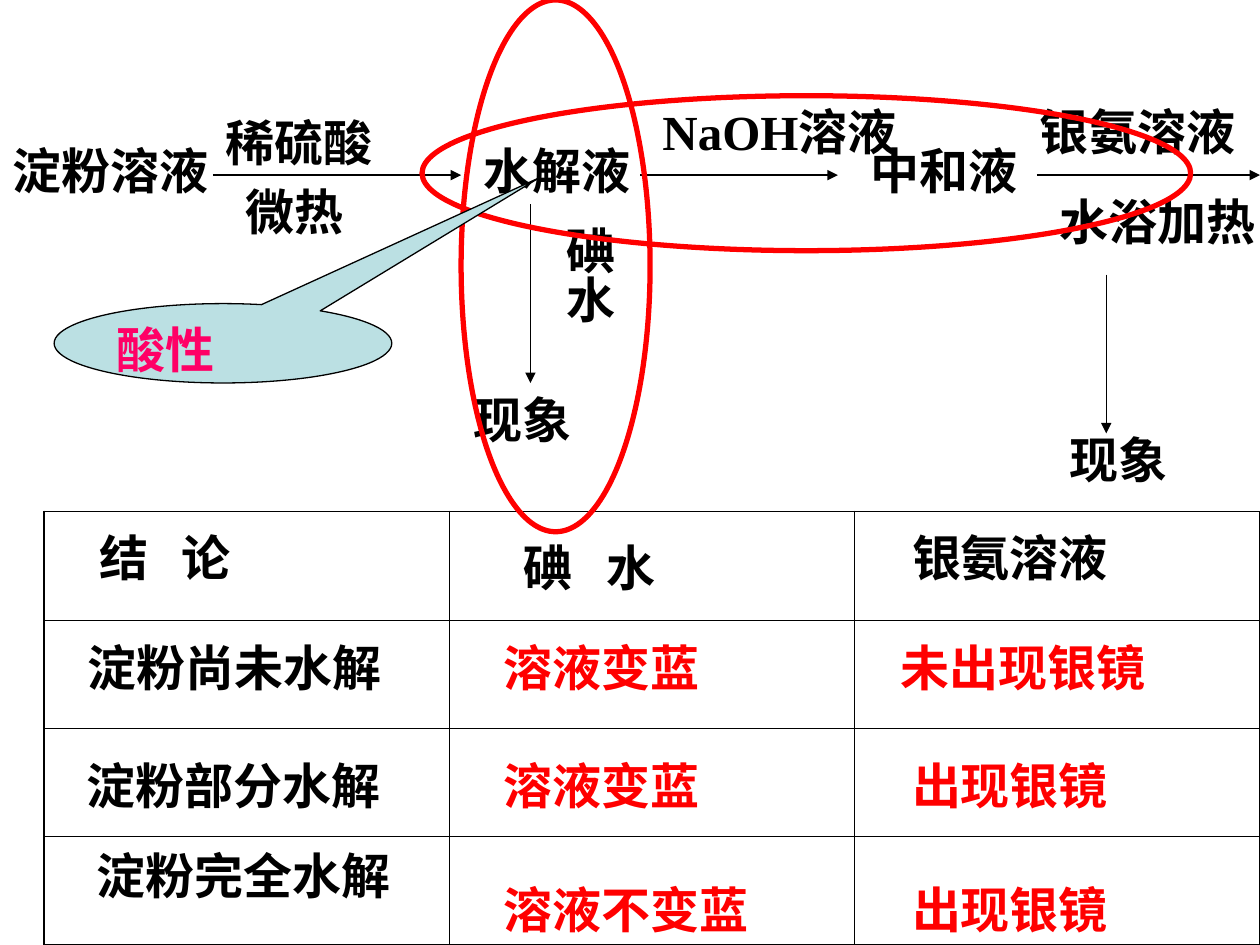
from lxml.etree import SubElement
from pptx import Presentation
from pptx.dml.color import RGBColor
from pptx.enum.shapes import MSO_CONNECTOR, MSO_SHAPE
from pptx.enum.text import MSO_AUTO_SIZE
from pptx.oxml.ns import qn
from pptx.util import Inches, Pt

BLACK = RGBColor(0x00, 0x00, 0x00)
RED = RGBColor(0xFF, 0x00, 0x00)
PINK = RGBColor(0xFF, 0x00, 0x66)
PALE_BLUE = RGBColor(0xBB, 0xE0, 0xE3)
CJK_FONT = "Noto Sans CJK SC"
LATIN_FONT = "Times New Roman"
OUTER_BORDER, INNER_BORDER = Pt(1.08), Pt(0.45)

# Reaction scheme: text, left, top, width
STEPS = [
    ("淀粉溶液", 0, 1.07, 2.83),
    ("稀硫酸", 1.69, 0.84, 2.21),
    ("微热", 1.85, 1.39, 1.97),
    ("水解液", 3.74, 1.07, 2.44),
    ("现象", 3.66, 3.04, 2.44),
    ("中和液", 6.81, 1.07, 2.6),
    ("银氨溶液", 8.15, 0.76, 2.36),
    ("水浴加热", 8.31, 1.47, 4.1),
    ("现象", 8.39, 3.36, 4.25),
]

# Arrows: start x, start y, end x, end y
ARROWS = [
    (1.69, 1.39, 3.66, 1.39),
    (5.08, 1.39, 6.65, 1.39),
    (8.23, 1.39, 10, 1.39),
    (4.21, 1.62, 4.21, 3.04),
    (8.78, 2.18, 8.78, 3.44),
]

# Labels over the table, row by row: text, left, top, width, colour
TABLE_LABELS = [
    ("结   论", 0.69, 4.14, 2.18, BLACK),
    ("碘   水", 4.06, 4.22, 2.76, BLACK),
    ("银氨溶液", 7.14, 4.14, 2.86, BLACK),
    ("淀粉尚未水解", 0.6, 5.01, 2.9, BLACK),
    ("溶液变蓝", 3.9, 5.01, 2.44, RED),
    ("未出现银镜", 7.05, 5.01, 2.95, RED),
    ("淀粉部分水解", 0.59, 5.95, 2.99, BLACK),
    ("溶液变蓝", 3.9, 5.95, 2.44, RED),
    ("出现银镜", 7.14, 5.95, 2.86, RED),
    ("淀粉完全水解", 0.67, 6.66, 2.99, BLACK),
    ("溶液不变蓝", 3.9, 6.93, 2.44, RED),
    ("出现银镜", 7.14, 6.93, 2.86, RED),
]


def format_run(run, color, font_name=CJK_FONT):
    run.font.size = Pt(28)
    run.font.bold = True
    run.font.color.rgb = color
    run.font.name = font_name
    SubElement(run.font._element, qn("a:ea")).set("typeface", CJK_FONT)


def add_label(shapes, text, left, top, width, color=BLACK, height=0.57):
    label = shapes.add_textbox(Inches(left), Inches(top), Inches(width), Inches(height))
    frame = label.text_frame
    frame.word_wrap = True
    frame.auto_size = MSO_AUTO_SIZE.SHAPE_TO_FIT_TEXT
    frame.text = text
    format_run(frame.paragraphs[0].runs[0], color)
    return label


def add_vertical_label(shapes, text, left, top, width, height):
    frame = add_label(shapes, text, left, top, width, height=height).text_frame
    frame.margin_left = frame.margin_right = Inches(0.05)
    frame.margin_top = frame.margin_bottom = Inches(0.1)
    frame._txBody.bodyPr.set("vert", "eaVert")


def add_arrow(shapes, x1, y1, x2, y2):
    arrow = shapes.add_connector(
        MSO_CONNECTOR.STRAIGHT, Inches(x1), Inches(y1), Inches(x2), Inches(y2))
    arrow.line.color.rgb = BLACK
    arrow.line.width = Pt(0.75)
    SubElement(arrow.line._get_or_add_ln(), qn("a:tailEnd")).set("type", "triangle")
    SubElement(arrow._element.spPr, qn("a:effectLst"))


def add_outline_shape(shapes, preset, left, top, width, height, color, weight):
    shape = shapes.add_shape(
        preset, Inches(left), Inches(top), Inches(width), Inches(height))
    shape.shadow.inherit = False
    shape.fill.background()
    shape.line.color.rgb = color
    shape.line.width = Pt(weight)
    return shape


def set_border(cell, side, width):
    border = SubElement(cell._tc.get_or_add_tcPr(), qn(f"a:ln{side}"), w=str(width))
    fill = SubElement(border, qn("a:solidFill"))
    SubElement(fill, qn("a:srgbClr"), val=str(BLACK))


def add_grid(shapes, rows, cols):
    table = shapes.add_table(
        rows, cols, Inches(0.35), Inches(4.06), Inches(9.65), Inches(3.44)).table
    table.first_row = table.horz_banding = False
    for row in range(rows):
        for col in range(cols):
            cell = table.cell(row, col)
            outer_sides = {"L": col == 0, "R": col == cols - 1,
                           "T": row == 0, "B": row == rows - 1}
            for side, is_outer in outer_sides.items():
                set_border(cell, side, OUTER_BORDER if is_outer else INNER_BORDER)
            cell.fill.background()


def add_acid_callout(shapes):
    group = shapes.add_group_shape()
    callout = add_outline_shape(
        group.shapes, MSO_SHAPE.OVAL_CALLOUT, 0.43, 2.41, 2.68, 0.63, BLACK, 0.75)
    callout.adjustments[0] = 0.936
    callout.adjustments[1] = -2.084
    callout.fill.solid()
    callout.fill.fore_color.rgb = PALE_BLUE
    add_label(group.shapes, "酸性", 0.83, 2.49, 1.65, PINK)


def main():
    prs = Presentation()
    prs.slide_width, prs.slide_height = Inches(10), Inches(7.5)
    shapes = prs.slides.add_slide(prs.slide_layouts[6]).shapes

    # Reaction scheme
    for arrow in ARROWS:
        add_arrow(shapes, *arrow)
    for step in STEPS:
        add_label(shapes, *step)
    add_vertical_label(shapes, "碘水", 4.3, 1.7, 0.66, 1.5)
    alkali = add_label(shapes, "NaOH", 5.16, 0.76, 2.13, height=1.04)
    paragraph = alkali.text_frame.paragraphs[0]
    paragraph.runs[0].font.name = LATIN_FONT
    solution = paragraph.add_run()
    solution.text = "溶液"
    format_run(solution, BLACK)

    # Conclusions table
    add_grid(shapes, 4, 3)
    for label in TABLE_LABELS:
        add_label(shapes, *label)

    # Red rings around the two test branches
    add_outline_shape(shapes, MSO_SHAPE.OVAL, 3.66, 0, 1.5, 4.22, RED, 3)
    add_outline_shape(shapes, MSO_SHAPE.OVAL, 3.35, 0.76, 6.1, 1.23, RED, 3)

    # Acidity remark
    add_acid_callout(shapes)

    prs.save("out.pptx")


if __name__ == "__main__":
    main()
